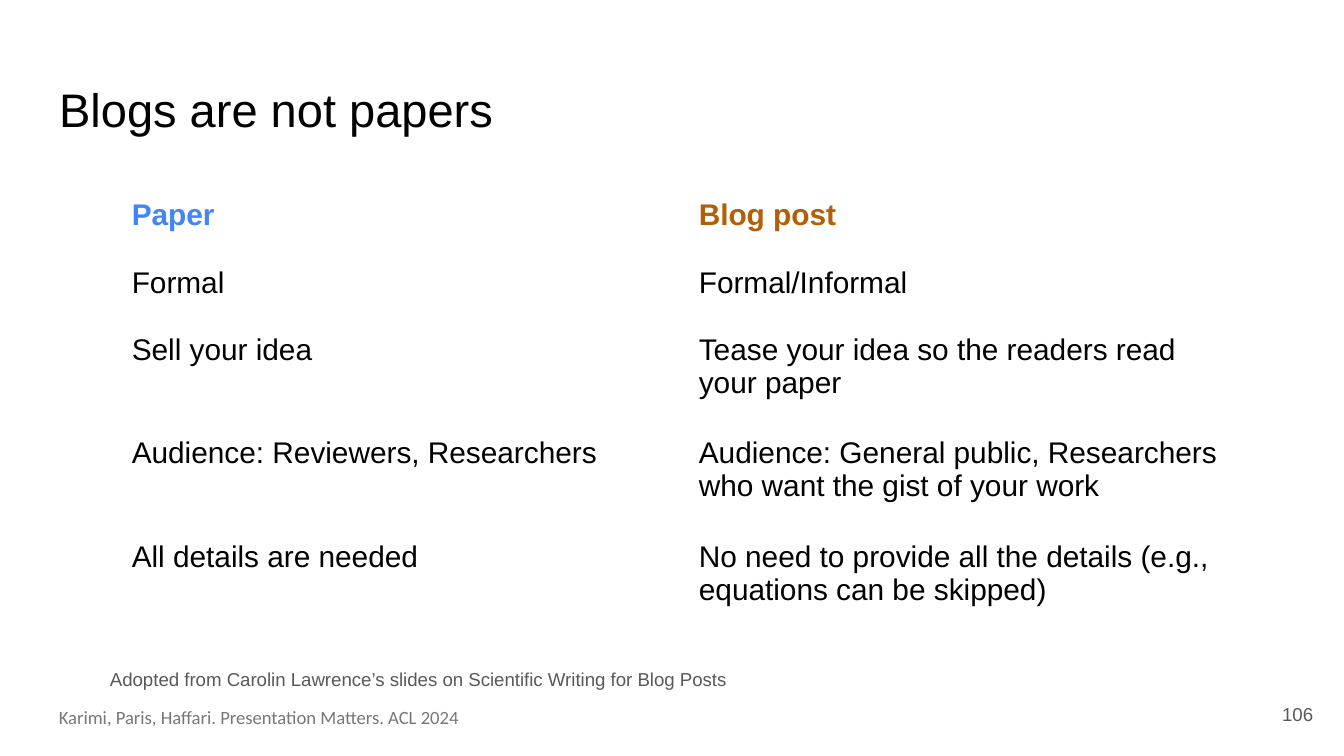
from lxml import etree
from pptx import Presentation
from pptx.dml.color import RGBColor
from pptx.enum import text
from pptx.oxml import ns
from pptx.util import Pt

THEME = {
    "font": "Arial", "footer_font": "Calibri",
    "title_size": 25.2, "body_size": 16, "small_size": 10,
    "ink": "000000", "paper": "4285F4", "blog": "B45F06",
    "muted": "595959", "footer": "777777", "border": "FFFFFF",
}
TITLE = "Blogs are not papers"
HEADINGS = [("Paper", "paper"), ("Blog post", "blog")]
COMPARISONS = [
    ("Formal", "Formal/Informal"),
    ("Sell your idea", "Tease your idea so the readers read your paper"),
    ("Audience: Reviewers, Researchers",
     "Audience: General public, Researchers who want the gist of your work"),
    ("All details are needed",
     "No need to provide all the details (e.g., equations can be skipped)"),
]
CREDIT = "Adopted from Carolin Lawrence’s slides on Scientific Writing for Blog Posts"
FOOTER = "Karimi, Paris, Haffari. Presentation Matters. ACL 2024"
PAGE_NUMBER = "106"

INSET = 7.2
SINGLE_ROW, DOUBLE_ROW = 36, 55.4
TABLE_LEFT, TABLE_TOP, COLUMN_WIDTH = 63.4, 99.4, 303.8


def write(frame, words, size, color, font="font", bold=False,
          align=text.PP_ALIGN.LEFT):
    para = frame.paragraphs[0]
    para.alignment = align
    span = para.add_run()
    span.text = words
    span.font.name = THEME[font]
    span.font.size = Pt(THEME[size])
    span.font.bold = bold
    span.font.color.rgb = RGBColor.from_string(THEME[color])


def set_frame(frame, anchor, vertical_inset=INSET):
    frame.word_wrap = True
    frame.auto_size = text.MSO_AUTO_SIZE.NONE
    frame.vertical_anchor = anchor
    frame.margin_left = frame.margin_right = Pt(INSET)
    frame.margin_top = frame.margin_bottom = Pt(vertical_inset)


def add_label(page, place, words, color, font="font", vertical_inset=INSET,
              anchor=text.MSO_ANCHOR.TOP, align=text.PP_ALIGN.LEFT):
    box = page.shapes.add_textbox(*map(Pt, place))
    set_frame(box.text_frame, anchor, vertical_inset)
    write(box.text_frame, words, "small_size", color, font, align=align)


def add_borders(cell):
    properties = cell._tc.get_or_add_tcPr()
    for position, side in enumerate(("lnL", "lnR", "lnT", "lnB")):
        line = etree.Element(ns.qn("a:" + side), w=str(Pt(0.75)))
        fill = etree.SubElement(line, ns.qn("a:solidFill"))
        etree.SubElement(fill, ns.qn("a:srgbClr"), val=THEME["border"])
        properties.insert(position, line)


def add_comparison(page):
    rows = [HEADINGS] + [[(words, "ink") for words in pair] for pair in COMPARISONS]
    heights = [SINGLE_ROW] * 2 + [DOUBLE_ROW] * (len(rows) - 2)
    columns = len(HEADINGS)
    table = page.shapes.add_table(
        len(rows), columns, Pt(TABLE_LEFT), Pt(TABLE_TOP),
        Pt(COLUMN_WIDTH * columns), Pt(sum(heights))).table
    table.horz_banding = False
    for column in table.columns:
        column.width = Pt(COLUMN_WIDTH)
    for r, (row, height) in enumerate(zip(rows, heights)):
        table.rows[r].height = Pt(height)
        for c, (words, color) in enumerate(row):
            cell = table.cell(r, c)
            cell.margin_left = cell.margin_right = Pt(INSET)
            cell.margin_top = cell.margin_bottom = Pt(INSET)
            cell.fill.background()
            add_borders(cell)
            write(cell.text_frame, words, "body_size", color, bold=r == 0)


def main():
    deck = Presentation()
    deck.slide_width, deck.slide_height = Pt(720), Pt(405)
    page = deck.slides.add_slide(deck.slide_layouts[5])

    title = page.shapes.title
    title.left, title.top, title.width, title.height = map(Pt, (24.5, 35.3, 671, 45.4))
    set_frame(title.text_frame, text.MSO_ANCHOR.BOTTOM)
    write(title.text_frame, TITLE, "title_size", "ink")

    add_label(page, (24.5, 374.4, 542.2, 19.4), FOOTER, "footer", "footer_font",
              vertical_inset=3.6)
    add_comparison(page)
    add_label(page, (51.8, 350.6, 445, 20.2), CREDIT, "muted")
    add_label(page, (667.4, 367.2, 43.2, 31), PAGE_NUMBER, "muted",
              anchor=text.MSO_ANCHOR.MIDDLE, align=text.PP_ALIGN.RIGHT)

    deck.save("out.pptx")


if __name__ == "__main__":
    main()
